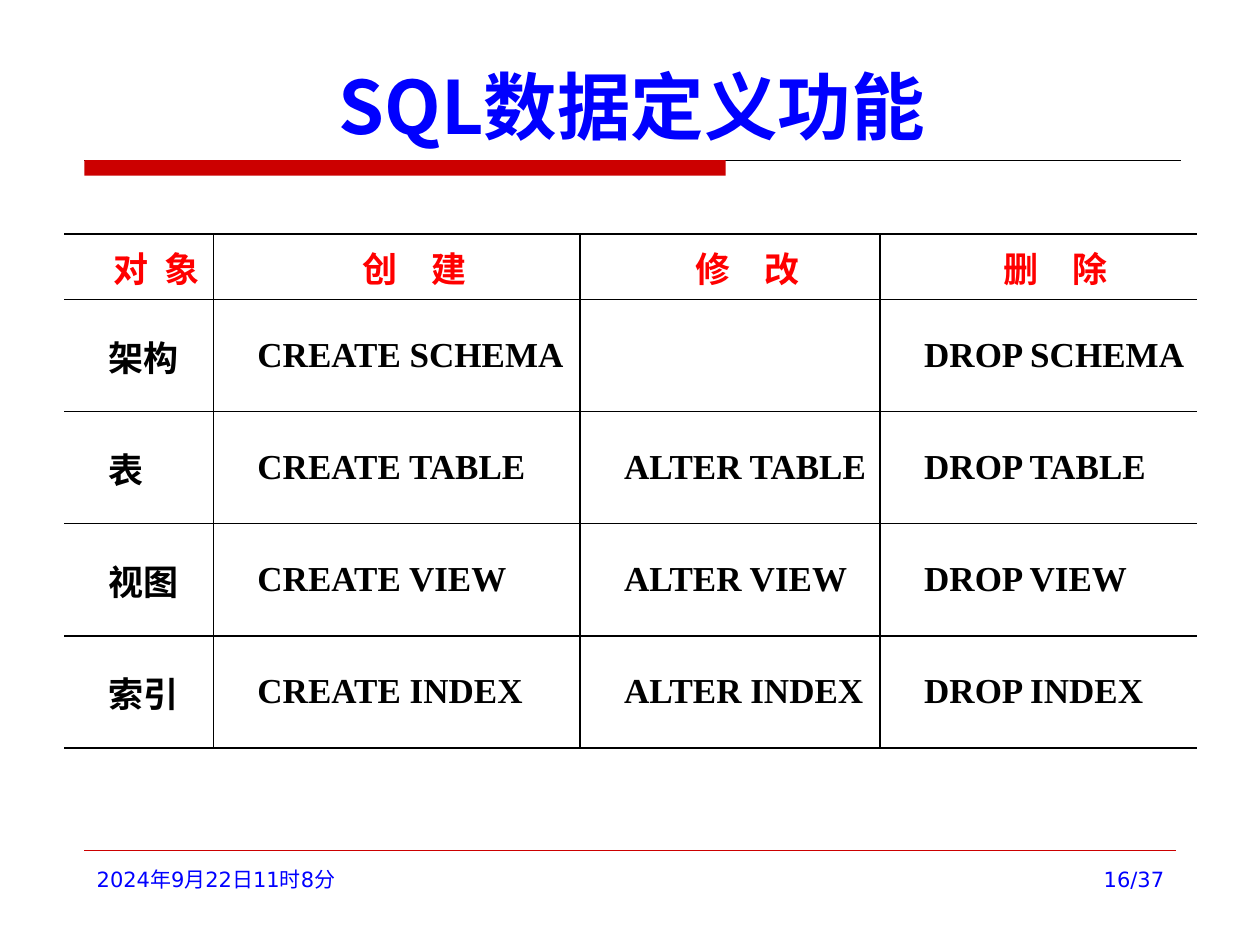
"""Build the slide on SQL data definition statements."""
from dataclasses import dataclass
from typing import Optional

from lxml import etree
from pptx import Presentation
from pptx import util as u
from pptx.dml.color import RGBColor
from pptx.enum import shapes, text
from pptx.oxml.ns import qn


@dataclass(frozen=True)
class Theme:
    blue: str = "0000FF"
    red: str = "FF0000"
    bar: str = "CC0000"
    black: str = "000000"
    cjk: str = "Noto Sans CJK SC"
    serif: str = "Times New Roman"
    sans: str = "DejaVu Sans"
    title: float = 42
    body: float = 20
    footer: float = 12
    border: float = 1


@dataclass(frozen=True)
class Style:
    font: str
    size: float
    color: str
    bold: bool = False


@dataclass(frozen=True)
class Label:
    words: str
    left: float
    top: float
    width: float
    height: float
    style: Style
    align: text.PP_ALIGN = text.PP_ALIGN.LEFT
    anchor: text.MSO_ANCHOR = text.MSO_ANCHOR.TOP


@dataclass(frozen=True)
class Rule:
    left: float
    right: float
    y: float
    color: str
    weight: float


T = Theme()
HEAD = Style(T.serif, T.body, T.red, True)
BODY = Style(T.serif, T.body, T.black, True)
FOOT = Style(T.sans, T.footer, T.blue)

LABELS = (
    Label("SQL数据定义功能", 1.68, 0.84, 22.12, 2.29,
          Style(T.cjk, T.title, T.blue, True),
          text.PP_ALIGN.CENTER, text.MSO_ANCHOR.BOTTOM),
    Label("2024年9月22日11时8分", 1.7, 17.35, 5.61, 1.32, FOOT),
    Label("16/37", 18.21, 17.35, 5.51, 1.32, FOOT, text.PP_ALIGN.RIGHT),
)
RULES = (
    Rule(1.7, 23.8, 3.23, T.black, 0.75),
    Rule(1.7, 23.7, 17.15, T.bar, 0.25),
)
HEADINGS = (("对", "象", 5), ("创", "建", 15), ("修", "改", 15), ("删", "除", 15))
OBJECTS = (("架构", "SCHEMA"), ("表", "TABLE"), ("视图", "VIEW"), ("索引", "INDEX"))
VERBS = ("CREATE", "ALTER", "DROP")
UNSUPPORTED = {("ALTER", "SCHEMA")}
COLS = (3.0, 7.39, 6.05, 6.38)
ROWS = (1.32,) + (2.26,) * len(OBJECTS)


def add_run(p, words: str, style: Style, spacing: Optional[float] = None) -> None:
    """Append a styled run, with letter spacing in points if given."""
    r = p.add_run()
    r.text = words
    r.font.name = style.font
    r.font.size = u.Pt(style.size)
    r.font.bold = style.bold
    r.font.color.rgb = RGBColor.from_string(style.color)
    rPr = r.font._element
    rPr.set("lang", "zh-CN")
    if spacing is not None:
        rPr.set("spc", str(int(spacing * 100)))
    ea = etree.Element(qn("a:ea"), typeface=T.cjk)
    rPr.find(qn("a:latin")).addnext(ea)


def add_label(s, label: Label) -> None:
    """Draw a wrapped text box."""
    sp = s.shapes.add_textbox(u.Cm(label.left), u.Cm(label.top),
                              u.Cm(label.width), u.Cm(label.height))
    tf = sp.text_frame
    tf.word_wrap = True
    tf.vertical_anchor = label.anchor
    p = tf.paragraphs[0]
    p.alignment = label.align
    add_run(p, label.words, label.style)


def add_rule(s, rule: Rule) -> None:
    """Draw a horizontal line."""
    cx = s.shapes.add_connector(shapes.MSO_CONNECTOR.STRAIGHT, u.Cm(rule.left),
                                u.Cm(rule.y), u.Cm(rule.right), u.Cm(rule.y))
    cx.line.color.rgb = RGBColor.from_string(rule.color)
    cx.line.width = u.Pt(rule.weight)
    etree.SubElement(cx._element.spPr, qn("a:effectLst"))


def add_bar(s) -> None:
    """Draw the red bar under the title."""
    sp = s.shapes.add_shape(shapes.MSO_SHAPE.RECTANGLE, u.Cm(1.7), u.Cm(3.23),
                            u.Cm(12.93), u.Cm(0.31))
    sp.shadow.inherit = False
    sp.fill.solid()
    sp.fill.fore_color.rgb = RGBColor.from_string(T.bar)
    sp.line.fill.background()


def format_cell(cell, first: bool, last: bool) -> None:
    """Set margins, anchor, borders and fill, leaving the outer sides open."""
    cell.margin_left = cell.margin_right = u.Cm(0.18)
    cell.margin_top = cell.margin_bottom = 0
    cell.vertical_anchor = text.MSO_ANCHOR.MIDDLE
    tcPr = cell._tc.get_or_add_tcPr()
    for side, shown in (("L", not first), ("R", not last), ("T", True), ("B", True)):
        ln = etree.SubElement(tcPr, qn(f"a:ln{side}"), w=str(u.Pt(T.border)))
        if shown:
            fill = etree.SubElement(ln, qn("a:solidFill"))
            etree.SubElement(fill, qn("a:srgbClr"), val=T.black)
        else:
            etree.SubElement(ln, qn("a:noFill"))
    cell.fill.background()


def cell_paragraph(cell, align: text.PP_ALIGN):
    """Return the cell's paragraph with its first line indented."""
    p = cell.text_frame.paragraphs[0]
    p.alignment = align
    pPr = p._p.get_or_add_pPr()
    pPr.set("marL", "0")
    pPr.set("indent", str(u.Cm(0.71)))
    return p


def add_statements(s) -> None:
    """Draw the table of statements by object and verb."""
    tbl = s.shapes.add_table(len(ROWS), len(COLS), u.Cm(1.3), u.Cm(4.72),
                             u.Cm(sum(COLS)), u.Cm(sum(ROWS))).table
    tbl.first_row = tbl.horz_banding = False
    for col, width in zip(tbl.columns, COLS):
        col.width = u.Cm(width)
    for row, height in zip(tbl.rows, ROWS):
        row.height = u.Cm(height)
        for i, cell in enumerate(row.cells):
            format_cell(cell, i == 0, i == len(COLS) - 1)
    for i, (start, end, gap) in enumerate(HEADINGS):
        p = cell_paragraph(tbl.cell(0, i), text.PP_ALIGN.CENTER)
        add_run(p, start, HEAD)
        add_run(p, " ", HEAD, gap)
        add_run(p, end, HEAD)
    for j, (name, keyword) in enumerate(OBJECTS, 1):
        entries = [name] + ["" if (verb, keyword) in UNSUPPORTED
                            else f"{verb} {keyword}" for verb in VERBS]
        for i, words in enumerate(entries):
            if words:
                add_run(cell_paragraph(tbl.cell(j, i), text.PP_ALIGN.LEFT), words, BODY)


def main() -> None:
    """Build and save the slide."""
    prs = Presentation()
    prs.slide_width, prs.slide_height = u.Cm(25.4), u.Cm(19.05)
    s = prs.slides.add_slide(prs.slide_layouts[6])
    for rule in RULES:
        add_rule(s, rule)
    add_bar(s)
    for label in LABELS:
        add_label(s, label)
    add_statements(s)
    prs.save("out.pptx")


if __name__ == "__main__":
    main()
